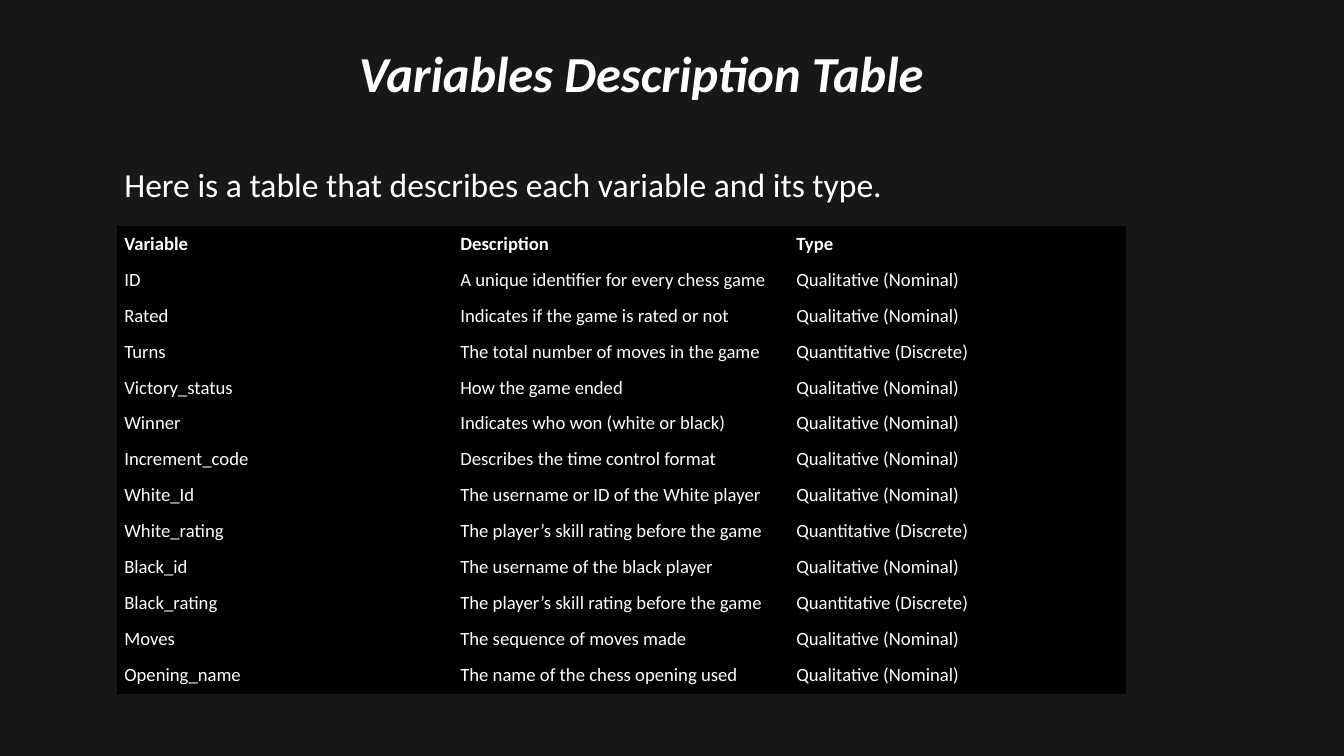
from dataclasses import dataclass
from typing import Any, NamedTuple

from lxml.etree import SubElement
from pptx import Presentation
from pptx.dml.color import RGBColor as Rgb
from pptx.enum.text import MSO_ANCHOR as Anchor, MSO_AUTO_SIZE as AutoSize, PP_ALIGN as Align
from pptx.oxml.ns import qn
from pptx.util import Inches, Pt

SLIDE_WIDTH, SLIDE_HEIGHT = Inches(20), Inches(11.25)
UNIT = SLIDE_WIDTH // 20  # square grid: 20 columns, 11.25 rows


@dataclass(frozen=True)
class Theme:
    font: str = "Calibri"
    background: str = "171717"
    table_fill: str = "000000"
    text: str = "FFFFFF"
    title_size: int = 54
    intro_size: int = 36
    cell_size: int = 20
    line_height: float = 1.2
    border_width: float = 0.37


class Area(NamedTuple):
    """A place on the grid, in columns and rows."""
    column: float
    row: float
    columns: float
    rows: float

    def emu(self) -> list[int]:
        return [round(length * UNIT) for length in self]


class Variable(NamedTuple):
    name: str
    description: str
    kind: str


@dataclass(frozen=True)
class TextLine:
    text: str
    area: Area
    size: int
    align: Any = Align.LEFT
    bold: bool = False
    italic: bool = False


THEME = Theme()
NOMINAL, DISCRETE = "Qualitative (Nominal)", "Quantitative (Discrete)"
TABLE_AREA = Area(1.75, 3.37, 15, 6.93)
TITLE = TextLine("Variables Description Table", Area(2.02, 0.63, 15.05, 1.03),
                 THEME.title_size, Align.CENTER, bold=True, italic=True)
INTRO = TextLine("Here is a table that describes each variable and its type.",
                 Area(1.85, 2.44, 12.05, 0.68), THEME.intro_size)
HEADER = Variable("Variable", "Description", "Type")
VARIABLES = [
    Variable("ID", "A unique identifier for every chess game", NOMINAL),
    Variable("Rated", "Indicates if the game is rated or not", NOMINAL),
    Variable("Turns", "The total number of moves in the game", DISCRETE),
    Variable("Victory_status", "How the game ended", NOMINAL),
    Variable("Winner", "Indicates who won (white or black)", NOMINAL),
    Variable("Increment_code", "Describes the time control format", NOMINAL),
    Variable("White_Id", "The username or ID of the White player", NOMINAL),
    Variable("White_rating", "The player’s skill rating before the game", DISCRETE),
    Variable("Black_id", "The username of the black player", NOMINAL),
    Variable("Black_rating", "The player’s skill rating before the game", DISCRETE),
    Variable("Moves", "The sequence of moves made", NOMINAL),
    Variable("Opening_name", "The name of the chess opening used", NOMINAL),
]


def apply_format(target: Any, values: dict[str, Any]) -> None:
    for attribute, value in values.items():
        setattr(target, attribute, value)


def write_line(paragraph: Any, text: str, size: int, align: Any = Align.LEFT,
               bold: bool = False, italic: bool = False) -> None:
    apply_format(paragraph, {"alignment": align,
                             "line_spacing": Pt(size * THEME.line_height)})
    run = paragraph.add_run()
    run.text = text
    apply_format(run.font, {"name": THEME.font, "size": Pt(size),
                            "bold": bold, "italic": italic})
    run.font.color.rgb = Rgb.from_string(THEME.text)


def draw_text_line(slide: Any, line: TextLine) -> None:
    frame = slide.shapes.add_textbox(*line.area.emu()).text_frame
    apply_format(frame, {"word_wrap": True, "auto_size": AutoSize.SHAPE_TO_FIT_TEXT,
                         "margin_left": 0, "margin_right": 0,
                         "margin_top": 0, "margin_bottom": 0})
    write_line(frame.paragraphs[0], line.text, line.size, line.align, line.bold, line.italic)


def add_borders(cell: Any) -> None:
    """Outline all four sides; must come before the cell's fill."""
    properties = cell._tc.get_or_add_tcPr()
    for side in ("a:lnL", "a:lnR", "a:lnT", "a:lnB"):
        border = SubElement(properties, qn(side), w=str(int(Pt(THEME.border_width))))
        fill = SubElement(border, qn("a:solidFill"))
        SubElement(fill, qn("a:srgbClr"), val=THEME.table_fill)


def draw_cell(cell: Any, text: str, bold: bool) -> None:
    inset = Inches(0.1)
    apply_format(cell, {"vertical_anchor": Anchor.MIDDLE,
                        "margin_left": inset, "margin_right": inset,
                        "margin_top": inset, "margin_bottom": inset})
    add_borders(cell)
    cell.fill.solid()
    cell.fill.fore_color.rgb = Rgb.from_string(THEME.table_fill)
    write_line(cell.text_frame.paragraphs[0], text, THEME.cell_size, bold=bold)


def draw_variable_table(slide: Any, area: Area, variables: list[Variable]) -> None:
    records = [HEADER, *variables]
    table = slide.shapes.add_table(len(records), len(HEADER), *area.emu()).table
    table.horz_banding = False
    for row, record in enumerate(records):
        for column, text in enumerate(record):
            draw_cell(table.cell(row, column), text, bold=record is HEADER)


def main() -> None:
    deck = Presentation()
    apply_format(deck, {"slide_width": SLIDE_WIDTH, "slide_height": SLIDE_HEIGHT})
    slide = deck.slides.add_slide(deck.slide_layouts[6])
    slide.background.fill.solid()
    slide.background.fill.fore_color.rgb = Rgb.from_string(THEME.background)
    draw_text_line(slide, TITLE)
    draw_variable_table(slide, TABLE_AREA, VARIABLES)
    draw_text_line(slide, INTRO)
    deck.save("out.pptx")


if __name__ == "__main__":
    main()
